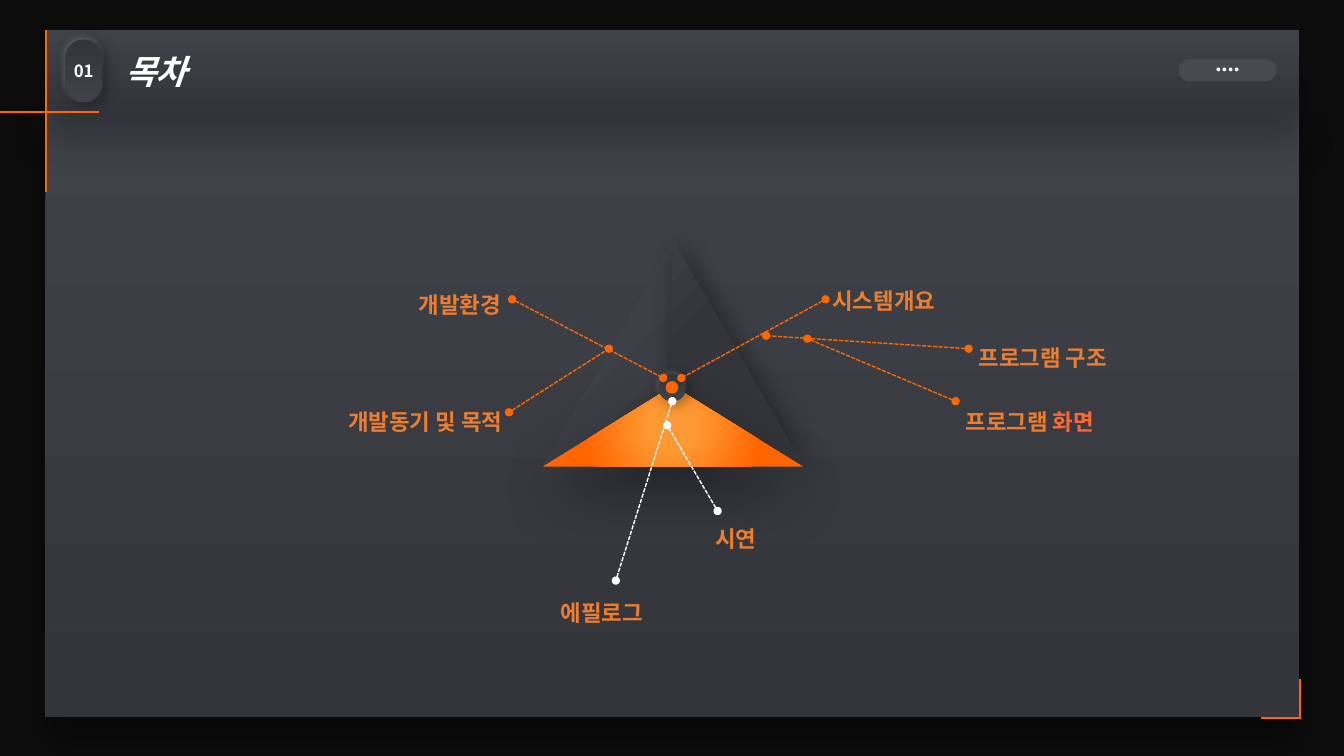
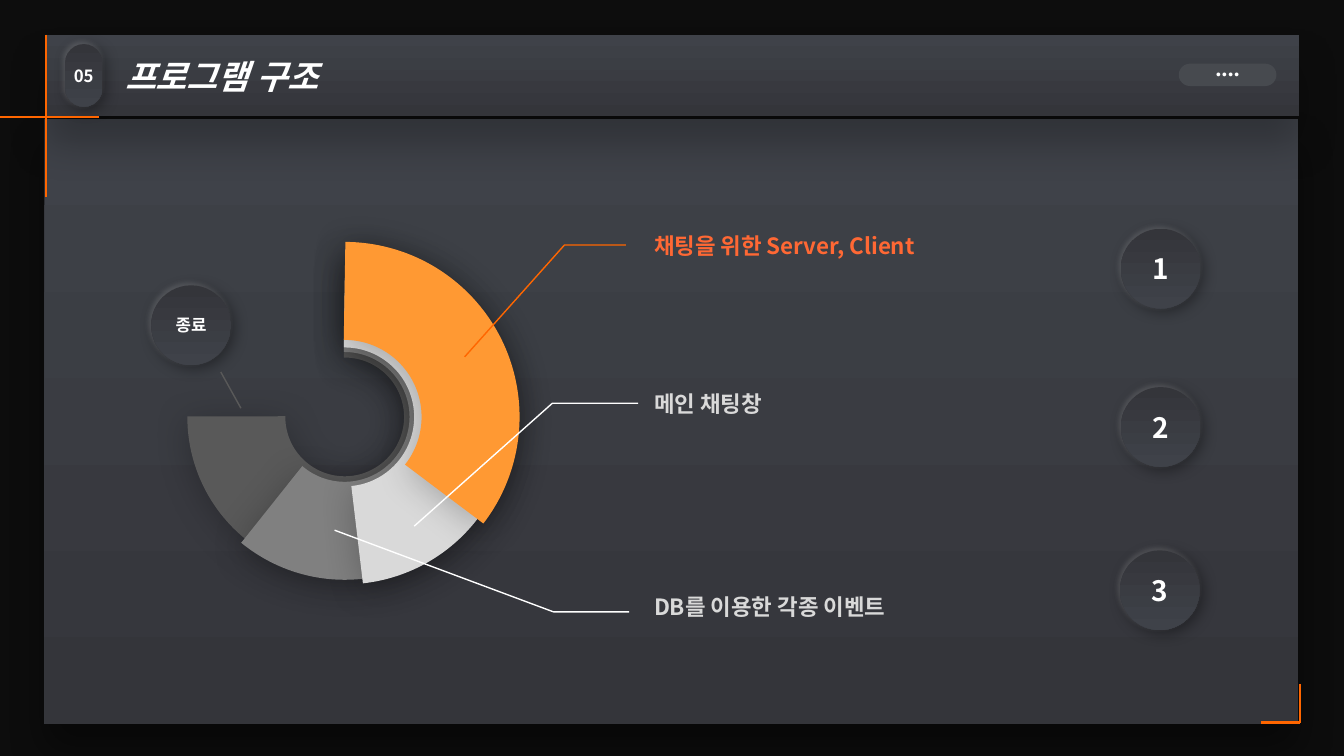
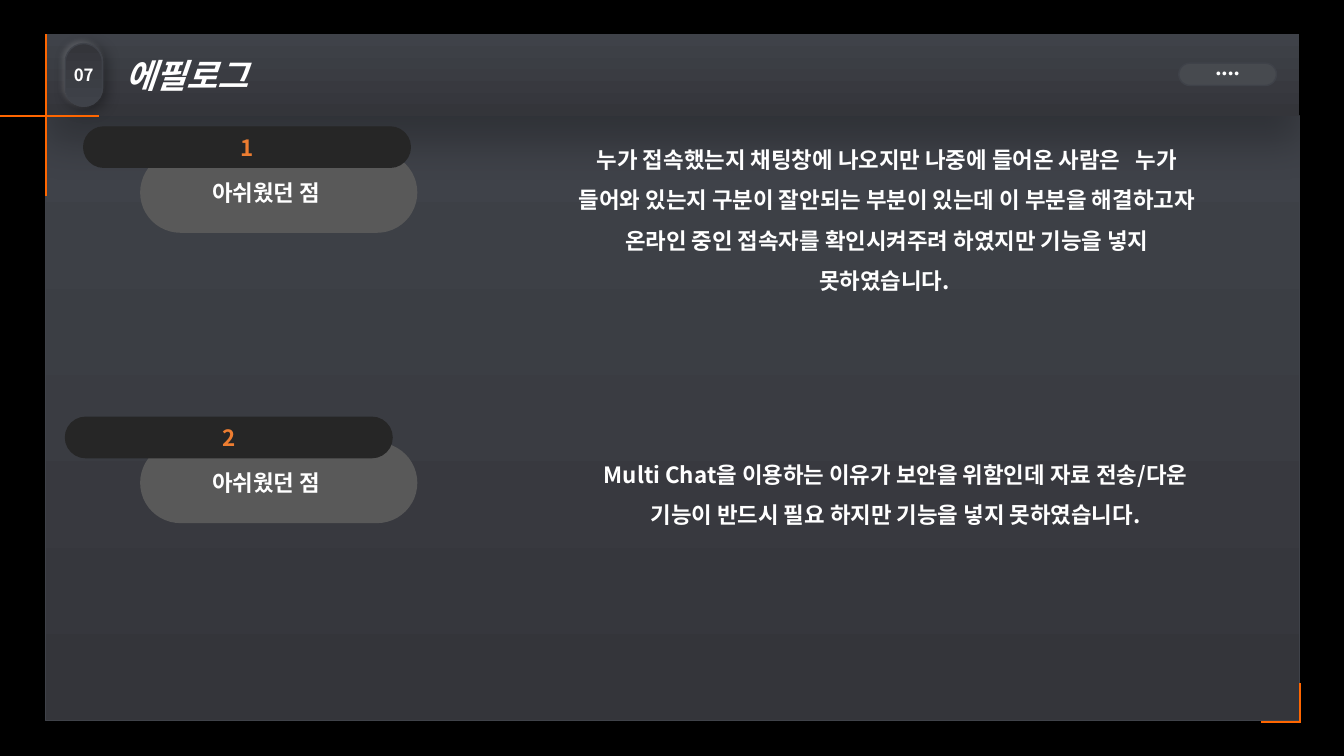
import pptx
import pptx.dml.color
import pptx.enum.dml
import pptx.enum.shapes
import pptx.enum.text
import pptx.oxml.ns
import pptx.util
from lxml import etree

Pt = pptx.util.Pt
RGB = pptx.dml.color.RGBColor
KIND = pptx.enum.shapes.MSO_SHAPE
ALIGN = pptx.enum.text.PP_ALIGN
ANCHOR = pptx.enum.text.MSO_ANCHOR
qn = pptx.oxml.ns.qn

FONT = "Noto Sans CJK KR"
BLACK, NIGHT, WHITE = RGB(0, 0, 0), RGB(0x0D, 0x0D, 0x0D), RGB(255, 255, 255)
SLATE, COAL, PILL = RGB(0x3F, 0x42, 0x49), RGB(0x34, 0x35, 0x3A), RGB(0x47, 0x4A, 0x4F)
ORANGE, AMBER = RGB(0xFF, 0x66, 0), RGB(0xFF, 0x99, 0x33)
COPPER, CORAL = RGB(0xED, 0x7D, 0x31), RGB(0xFF, 0x68, 0x34)
SILVER, GREY = RGB(0xD9, 0xD9, 0xD9), RGB(0x80, 0x80, 0x80)
IRON, INK = RGB(0x59, 0x59, 0x59), RGB(0x26, 0x26, 0x26)

# Shadows: colour, opacity %, blur, distance, direction in degrees
PANEL_SHADOW = (BLACK, 40, 28, 19, 90)
BAR_SHADOW = (BLACK, 23, 28, 19, 90)
KNOB_SHADOW = (BLACK, 40, 11, 3, 45)
KNOB_GLOW = (WHITE, 15, 4, 2, 225)
FACET_SHADOW = (BLACK, 40, 18, 3, 0)
BASE_SHADOW = (BLACK, 40, 43, 18, 90)
ARC_SHADOW = (BLACK, 23, 26, 3, 90)

# Gradients: (stop %, colour) twice, then the centre rectangle of a radial one
DOWN = ((0, SLATE), (100, COAL), None)
UP = ((0, COAL), (100, SLATE), None)

# Frames: number, title, background, vertical shift, panel left and top, outline
CONTENTS = ("01", "목차", NIGHT, 0, (32.4, 79.9), None)
STRUCTURE = ("05", "프로그램 구조", NIGHT, 3.3, (31.8, 85), None)
EPILOGUE = ("07", "에필로그", BLACK, 2.9, (32.4, 82.8), SLATE)

# Contents: pyramid facets (left, top, rotation, gradient, shadow)
FACETS = [
    (365.8, 237.6, 120, ((20, SLATE), (100, COAL), (0, 0, 100, 100)), None),
    (409, 236.9, 240, ((0, SLATE), (42, COAL), (0, 0, 100, 100)), FACET_SHADOW),
    (387.4, 275.8, 0, ((17, AMBER), (66, ORANGE), (50, 50, 50, 50)), BASE_SHADOW),
]
TOPICS = [
    ([("시스템개요", COPPER)], (587.5, 192.2, 108.7, 35.3), ALIGN.LEFT),
    ([("개발동기 및 목적", COPPER)], (225.4, 278.6, 140.4, 35.3), ALIGN.RIGHT),
    ([("에필로그", COPPER)], (370, 414.7, 119.5, 31.7), ALIGN.CENTER),
    ([("개발환경", COPPER)], (256.3, 195.1, 108.7, 35.3), ALIGN.RIGHT),
    ([("프로그램 구조", COPPER)], (691.9, 232.6, 126.7, 35.3), ALIGN.LEFT),
    ([("프로그램", COPPER), (" 화면 ", CORAL)], (682.6, 278.6, 126.7, 35.3), ALIGN.LEFT),
    ([("시연", COPPER)], (474.5, 362.2, 102.2, 31.7), ALIGN.CENTER),
]
SPOKES = [
    ((365.8, 213.8), (473.8, 270), ORANGE),
    ((589.7, 213.8), (486.7, 270), ORANGE),
    ((439.9, 414.7), (480.2, 286.6), WHITE),
    ((691.9, 249.1), (547.2, 239.8), ORANGE),
    ((363.6, 294.5), (434.9, 249.1), ORANGE),
    ((682.6, 286.6), (576.7, 241.9), ORANGE),
    ((512.6, 365), (476.6, 303.8), WHITE),
]

# Structure: ring arcs (diameter, end angle, colour), steps, leader lines
RING_CENTRE = (246.2, 297.8)
RING = [(154.8, 180.25, IRON), (162.7, 129.76, GREY),
        (169.2, 83.96, SILVER), (180, 37.76, AMBER)]
STEPS = [
    ("채팅을 위한 Server, Client ", CORAL, 152.6, (800.6, 163.4)),
    ("메인 채팅창", SILVER, 265.7, (800.6, 276.5)),
    ("DB를 이용한 각종 이벤트", SILVER, 410.4, (799.9, 393.1)),
]
LEADERS = [
    ([(331.9, 254.9), (403.2, 175), (447.1, 175)], ORANGE),
    ([(295.9, 375.8), (394.6, 288), (455.8, 288)], WHITE),
    ([(239, 378.7), (395.3, 437), (449.3, 437)], WHITE),
]

# Epilogue: number, tab left, row top, text, text box
REGRET = "아쉬웠던 점"
REGRETS = [
    ("1", 59.8, 90.7,
     "누가 접속했는지 채팅창에 나오지만 나중에 들어온 사람은   누가 들어와 있는지 구분이 "
     "잘안되는 부분이 있는데 이 부분을 해결하고자 온라인 중인 접속자를 확인시켜주려 "
     "하였지만 기능을 넣지 못하였습니다. ", (401, 91.4, 465.1, 123.1)),
    ("2", 46.8, 298.1,
     "Multi Chat을 이용하는 이유가 보안을 위함인데 자료 전송/다운 기능이 반드시 필요 "
     "하지만 기능을 넣지 못하였습니다.", (401, 316.1, 477.4, 65.5)),
]


# Formatting helpers
def sub(parent, tag, **attributes):
    return etree.SubElement(parent, qn(tag), {k: str(v) for k, v in attributes.items()})


def paint(part, fill=None, outline=None, weight=1, shadow=None):
    if fill is None:
        part.fill.background()
    elif isinstance(fill, RGB):
        part.fill.solid()
        part.fill.fore_color.rgb = fill
    else:
        *stops, centre = fill
        part.fill.gradient()
        part.fill.gradient_angle = 270
        for stop, (position, colour) in zip(part.fill.gradient_stops, stops):
            stop.position = position / 100
            stop.color.rgb = colour
        if centre:
            gradient = part.element.spPr.find(qn("a:gradFill"))
            gradient.remove(gradient.find(qn("a:lin")))
            radial = sub(gradient, "a:path", path="circle")
            sub(radial, "a:fillToRect", **{s: v * 1000 for s, v in zip("ltrb", centre)})
    if outline is None:
        part.line.fill.background()
    else:
        part.line.color.rgb = outline
        part.line.width = Pt(weight)
    part.shadow.inherit = False
    if shadow:
        colour, opacity, blur, distance, direction = shadow
        effects = part.element.spPr.find(qn("a:effectLst"))
        cast = sub(effects, "a:outerShdw", blurRad=int(Pt(blur)), dist=int(Pt(distance)),
                   dir=direction * 60000, algn="ctr", rotWithShape=0)
        sub(sub(cast, "a:srgbClr", val=colour), "a:alpha", val=opacity * 1000)


def write(part, pieces, size=16, align=ALIGN.CENTER, bold=True, italic=None, spacing=None):
    paragraph = part.text_frame.paragraphs[0]
    paragraph.alignment = align
    if spacing:
        paragraph.line_spacing = spacing
    for words, colour in pieces:
        run = paragraph.add_run()
        run.text = words
        run.font.size = Pt(size)
        run.font.name = FONT
        run.font.bold = bold
        run.font.italic = italic
        run.font.color.rgb = colour
        sub(run.font._element, "a:ea", typeface=FONT)


def block(slide, kind, box, **look):
    part = slide.shapes.add_shape(kind, *map(Pt, box))
    if kind == KIND.ROUNDED_RECTANGLE:
        part.adjustments[0] = 0.5
    paint(part, **look)
    part.text_frame.vertical_anchor = ANCHOR.MIDDLE
    return part


def label(slide, pieces, box, align):
    part = slide.shapes.add_textbox(*map(Pt, box))
    part.text_frame.word_wrap = True
    write(part, pieces, align=align, spacing=1.5)


def rule(slide, start, end, colour, weight, dotted=False):
    line = slide.shapes.add_connector(pptx.enum.shapes.MSO_CONNECTOR.STRAIGHT,
                                      *map(Pt, start + end))
    line.line.color.rgb = colour
    line.line.width = Pt(weight)
    if dotted:
        line.line.dash_style = pptx.enum.dml.MSO_LINE.SQUARE_DOT
        stroke = line.element.spPr.find(qn("a:ln"))
        sub(stroke, "a:headEnd", type="oval")
        sub(stroke, "a:tailEnd", type="oval")
    sub(line.element.spPr, "a:effectLst")


def knob(slide, kind, box, words="", size=20, outline=None):
    block(slide, kind, box, fill=UP, outline=outline, shadow=KNOB_SHADOW)
    face = block(slide, kind, box, fill=UP, outline=outline, shadow=KNOB_GLOW)
    if words:
        face.text_frame.word_wrap = False
        write(face, [(words, WHITE)], size)


# Frame shared by all slides
def framed_slide(deck, frame):
    number, heading, backdrop, shift, corner, outline = frame
    slide = deck.slides.add_slide(deck.slide_layouts[5])
    slide.background.fill.solid()
    slide.background.fill.fore_color.rgb = backdrop
    block(slide, KIND.RECTANGLE, corner + (895.7, 432),
          fill=DOWN, outline=outline, shadow=PANEL_SHADOW)

    title = slide.shapes.title
    slide.shapes._spTree.append(title.element)
    title.left, title.top, title.width, title.height = map(
        Pt, (32.4, 21.5 + shift, 895.7, 58.4))
    paint(title, DOWN, shadow=BAR_SHADOW)
    title.text_frame.auto_size = pptx.enum.text.MSO_AUTO_SIZE.NONE
    title.text_frame.vertical_anchor = ANCHOR.MIDDLE
    title.text_frame.margin_left = Pt(56.9)
    write(title, [(heading, WHITE)], 24, ALIGN.LEFT, italic=True)

    knob(slide, KIND.ROUNDED_RECTANGLE, (46.6, 28.2 + shift, 26.6, 44.8), number, 12, outline)
    menu = block(slide, KIND.ROUNDED_RECTANGLE, (842, 42.2 + shift, 69.8, 16),
                 fill=PILL, outline=outline)
    menu.text_frame.word_wrap = False
    write(menu, [("●  ●  ●  ●", WHITE)], 3, bold=None)
    for x1, y1, x2, y2 in [(32.6, 21.5, 32.6, 137.3), (0, 80, 70.6, 80),
                           (900.7, 512.8, 928.8, 512.8), (928.8, 485.2, 928.8, 513.5)]:
        rule(slide, (x1, y1 + shift), (x2, y2 + shift), ORANGE, 1.5)
    return slide


deck = pptx.Presentation()
deck.slide_width, deck.slide_height = Pt(960), Pt(540)

# Contents
slide = framed_slide(deck, CONTENTS)
for left, top, turn, gradient, shadow in FACETS:
    facet = block(slide, KIND.ISOSCELES_TRIANGLE, (left, top, 186.5, 57.6),
                  fill=gradient, shadow=shadow)
    facet.rotation = turn
knob(slide, KIND.OVAL, (470.5, 267.1, 19.4, 19.4))
block(slide, KIND.OVAL, (475.5, 272.2, 9, 9), fill=ORANGE)
for start, end, colour in SPOKES:
    rule(slide, start, end, colour, 1, dotted=True)
for pieces, box, align in TOPICS:
    label(slide, pieces, box, align)

# Program structure
slide = framed_slide(deck, STRUCTURE)
for diameter, end_angle, colour in RING:
    left, top = (c - diameter / 2 for c in RING_CENTRE)
    arc = block(slide, KIND.ARC, (left, top, diameter, diameter),
                outline=colour, weight=70, shadow=ARC_SHADOW)
    arc.adjustments[0] = 270 * 0.6
    arc.adjustments[1] = end_angle * 0.6
for number, (words, colour, top, disc) in enumerate(STEPS, 1):
    label(slide, [(words, colour)], (460.1, top, 336.2, 40), ALIGN.LEFT)
    knob(slide, KIND.OVAL, disc + (57, 57), str(number))
for points, colour in LEADERS:
    start, *bends = [tuple(map(Pt, point)) for point in points]
    outline = slide.shapes.build_freeform(*start)
    outline.add_line_segments(bends, close=False)
    paint(outline.convert_to_shape(), outline=colour)
knob(slide, KIND.OVAL, (108, 203.8, 57, 57), "종료", 12)
rule(slide, (157.7, 265.7), (172.1, 291.6), IRON, 1)

# Epilogue
slide = framed_slide(deck, EPILOGUE)
for number, tab_left, top, words, box in REGRETS:
    heading = block(slide, KIND.ROUNDED_RECTANGLE, (100.1, top + 18, 198, 57.6), fill=IRON)
    heading.text_frame.margin_left = Pt(43.2)
    write(heading, [(REGRET, WHITE)], align=ALIGN.LEFT)
    tab = block(slide, KIND.ROUNDED_RECTANGLE, (tab_left, top, 233.3, 28.8),
                fill=INK, outline=INK)
    write(tab, [(number, COPPER)])
    label(slide, [(words, WHITE)], box, ALIGN.CENTER)

deck.save("out.pptx")
